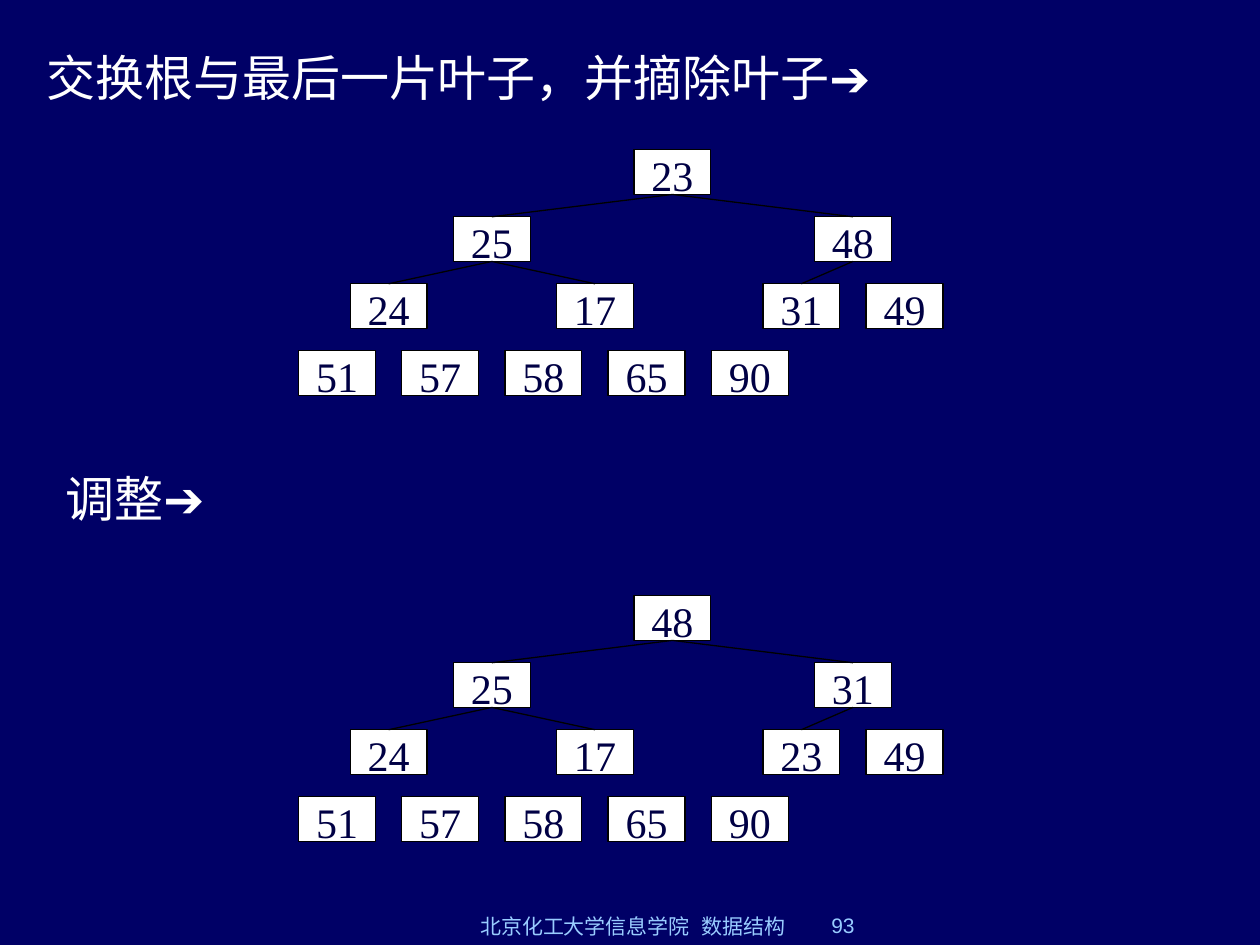
from lxml.etree import SubElement
from pptx import Presentation
from pptx.dml.color import RGBColor
from pptx.enum.shapes import MSO_CONNECTOR, MSO_SHAPE
from pptx.enum.text import MSO_ANCHOR, PP_ALIGN
from pptx.oxml.ns import qn
from pptx.util import Cm, Pt

# Text boxes: runs of (text, font), left, top, width, height in cm
HEADINGS = [
    ([("交换根与最后一片叶子，并摘除叶子", "Noto Sans CJK SC"), ("➔", "Arial")],
     (0.69, 0.84, 17.75, 1.45), False),
    ([("调整", "Noto Sans CJK SC"), ("➔", "Arial")],
     (1.07, 9.32, 25.4, 1.45), True),
]
FOOTERS = [
    ("北京化工大学信息学院  数据结构", (9.09, 18.42, 7.34, 0.63), PP_ALIGN.CENTER),
    ("93", (16.51, 18.42, 5.28, 0.61), PP_ALIGN.LEFT),
]

# Heaps in level order, each with the top of its root in cm
HEAPS = [
    (3.02, [23, 25, 48, 24, 17, 31, 49, 51, 57, 58, 65, 90]),
    (12.01, [48, 25, 31, 24, 17, 23, 49, 51, 57, 58, 65, 90]),
]
# Column of each node per level, in half steps of the bottom row
LEVELS = [[6.5], [3, 10], [1, 5, 9, 11], [0, 2, 4, 6, 8]]
EDGES = [(1, 3), (1, 4), (2, 5), (0, 1), (0, 2)]

TREE_LEFT = 6.02
HALF_STEP = 1.04
LEVEL_STEP = 1.35
NODE_WIDTH, NODE_HEIGHT = 1.55, 0.9
BOTTOM_SITE, TOP_SITE = 2, 0


def rgb(value):
    return RGBColor.from_string(value)


def style_run(run, font, size, color):
    run.font.name = font
    run.font.size = Pt(size)
    run.font.color.rgb = rgb(color)
    SubElement(run.font._element, qn("a:ea")).set("typeface", font)


def add_heading(slide, parts, place, wrap):
    frame = slide.shapes.add_textbox(*map(Cm, place)).text_frame
    frame.word_wrap = wrap
    for text, font in parts:
        run = frame.paragraphs[0].add_run()
        run.text = text
        style_run(run, font, 28, "FFFFFF")


def add_footer(slide, text, place, align):
    frame = slide.shapes.add_textbox(*map(Cm, place)).text_frame
    frame.word_wrap = True
    frame.vertical_anchor = MSO_ANCHOR.BOTTOM
    frame.text = text
    frame.paragraphs[0].alignment = align
    style_run(frame.paragraphs[0].runs[0], "Arial", 12, "99CCFF")


def add_node(tree, key, left, top):
    node = tree.shapes.add_shape(MSO_SHAPE.RECTANGLE, Cm(left), Cm(top),
                                 Cm(NODE_WIDTH), Cm(NODE_HEIGHT))
    node.shadow.inherit = False
    node.fill.solid()
    node.fill.fore_color.rgb = rgb("FFFFFF")
    node.line.color.rgb = rgb("000000")
    node.line.width = Pt(0.75)
    frame = node.text_frame
    frame.margin_left = frame.margin_right = 0
    frame.margin_top = frame.margin_bottom = 0
    frame.vertical_anchor = MSO_ANCHOR.TOP
    frame.text = str(key)
    frame.paragraphs[0].alignment = PP_ALIGN.CENTER
    style_run(frame.paragraphs[0].runs[0], "Times New Roman", 24, "000044")
    return node


def add_edge(tree, parent, child):
    edge = tree.shapes.add_connector(
        MSO_CONNECTOR.STRAIGHT,
        parent.left + parent.width // 2, parent.top + parent.height,
        child.left + child.width // 2, child.top)
    edge.begin_connect(parent, BOTTOM_SITE)
    edge.end_connect(child, TOP_SITE)
    edge.line.color.rgb = rgb("000000")
    edge.line.width = Pt(0.75)
    SubElement(edge._element.spPr, qn("a:effectLst"))


def add_heap(slide, top, keys):
    tree = slide.shapes.add_group_shape()
    spots = [(TREE_LEFT + column * HALF_STEP, top + level * LEVEL_STEP)
             for level, columns in enumerate(LEVELS) for column in columns]
    nodes = [add_node(tree, key, *spot) for key, spot in zip(keys, spots)]
    for parent, child in EDGES:
        add_edge(tree, nodes[parent], nodes[child])


def main():
    deck = Presentation()
    deck.slide_width, deck.slide_height = Cm(25.4), Cm(19.05)
    slide = deck.slides.add_slide(deck.slide_layouts[6])
    slide.background.fill.solid()
    slide.background.fill.fore_color.rgb = rgb("000066")
    for heading in HEADINGS:
        add_heading(slide, *heading)
    for heap in HEAPS:
        add_heap(slide, *heap)
    for footer in FOOTERS:
        add_footer(slide, *footer)
    deck.save("out.pptx")


if __name__ == "__main__":
    main()
